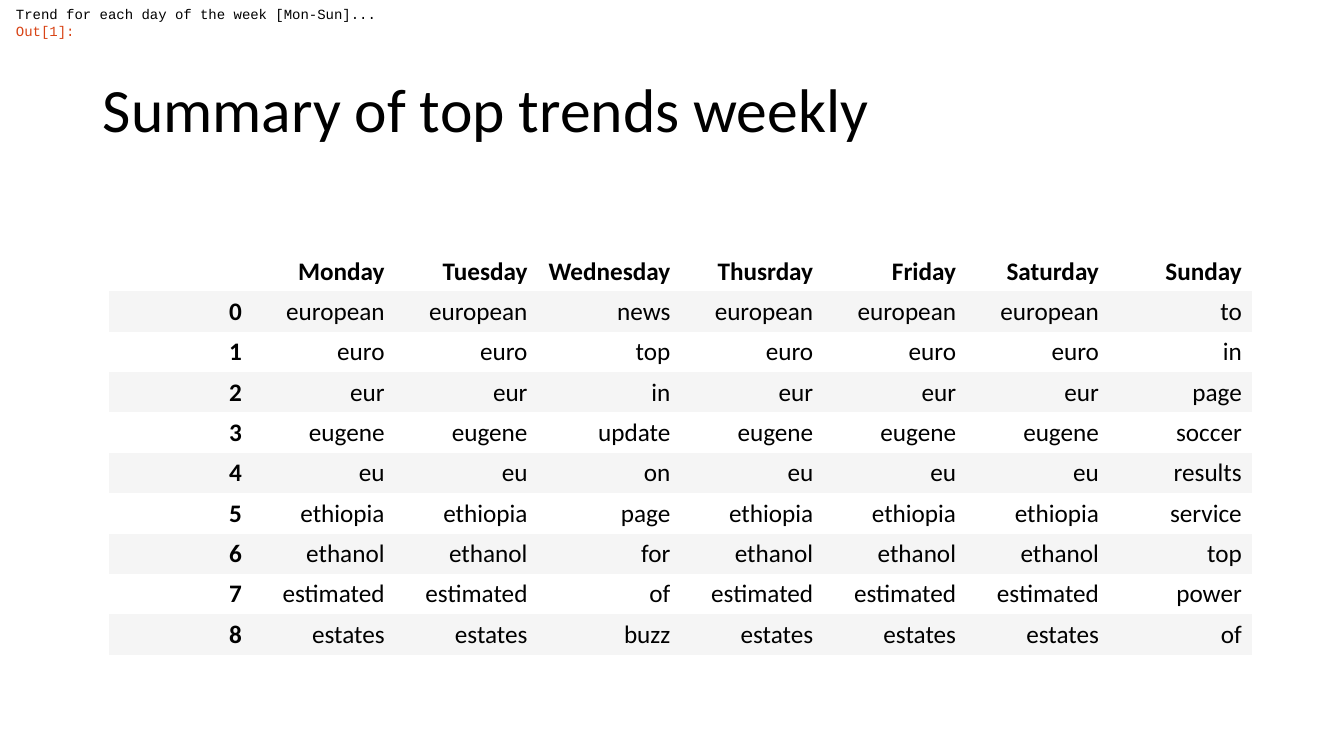
from pptx import Presentation
from pptx import util as u
from pptx.dml.color import RGBColor
from pptx.enum import shapes, text
from pptx.oxml.ns import qn

PX = 914400 / 100.8
COLORS = {"ink": "000000", "prompt": "D84315", "paper": "FFFFFF", "stripe": "F5F5F5"}
NO_STYLE_NO_GRID = "{2D5ABB26-0587-4C30-8999-92F81FD0307C}"

DAYS = ["Monday", "Tuesday", "Wednesday", "Thusrday", "Friday", "Saturday", "Sunday"]
COMMON = ["european", "euro", "eur", "eugene", "eu", "ethiopia", "ethanol", "estimated", "estates"]
TRENDS = {day: COMMON for day in DAYS}
TRENDS["Wednesday"] = ["news", "top", "in", "update", "on", "page", "for", "of", "buzz"]
TRENDS["Sunday"] = ["to", "in", "page", "soccer", "results", "service", "top", "power", "of"]


def px(n):
    return u.Emu(round(n * PX))


def rgb(name):
    return RGBColor.from_string(COLORS[name])


def style(p, size, font="Calibri", color="ink", bold=False):
    for r in p.runs:
        r.font.size = u.Pt(size)
        r.font.name = font
        r.font.bold = bold
        r.font.color.rgb = rgb(color)


def add_title(s, x, y, w, h):
    tf = s.shapes.add_textbox(px(x), px(y), px(w), px(h)).text_frame
    tf.word_wrap = True
    tf.vertical_anchor = text.MSO_ANCHOR.MIDDLE
    tf.text = "Summary of top trends weekly"
    p = tf.paragraphs[0]
    p.line_spacing = 0.9
    style(p, 44)


def add_trend_table(s, x, y, w, h):
    rows = [["", *DAYS]]
    for i in range(len(COMMON)):
        rows.append([str(i), *(TRENDS[day][i] for day in DAYS)])
    frame = s.shapes.add_table(len(rows), len(rows[0]), px(x), px(y), px(w), px(h))
    table = frame.table
    table.first_row = table.horz_banding = False
    next(frame.element.iter(qn("a:tableStyleId"))).text = NO_STYLE_NO_GRID
    for i, row in enumerate(rows):
        for j, word in enumerate(row):
            cell = table.cell(i, j)
            cell.vertical_anchor = text.MSO_ANCHOR.MIDDLE
            if i % 2:
                cell.fill.solid()
                cell.fill.fore_color.rgb = rgb("stripe")
            else:
                cell.fill.background()
            cell.text = word
            p = cell.text_frame.paragraphs[0]
            p.alignment = text.PP_ALIGN.RIGHT
            style(p, 18, bold=i == 0 or j == 0)


def add_console_output(s, x, y, w, h):
    box = s.shapes.add_shape(shapes.MSO_SHAPE.RECTANGLE, px(x), px(y), px(w), px(h))
    box.shadow.inherit = False
    box.fill.solid()
    box.fill.fore_color.rgb = rgb("paper")
    box.line.fill.background()
    tf = box.text_frame
    tf.word_wrap = True
    tf.vertical_anchor = text.MSO_ANCHOR.TOP
    tf.margin_left = tf.margin_top = tf.margin_right = tf.margin_bottom = 0
    tf.text = "Trend for each day of the week [Mon-Sun]...\nOut[1]:"
    for p, color in zip(tf.paragraphs, ("ink", "prompt")):
        p.alignment = text.PP_ALIGN.LEFT
        style(p, 10, "Courier New", color)


def main():
    prs = Presentation()
    prs.slide_width, prs.slide_height = px(1344), px(756)
    s = prs.slides.add_slide(prs.slide_layouts[6])
    add_title(s, 93, 40, 1159, 146)
    add_trend_table(s, 109, 251, 1143, 400)
    add_console_output(s, 16, 6, 1344, 60)
    prs.save("out.pptx")


if __name__ == "__main__":
    main()
